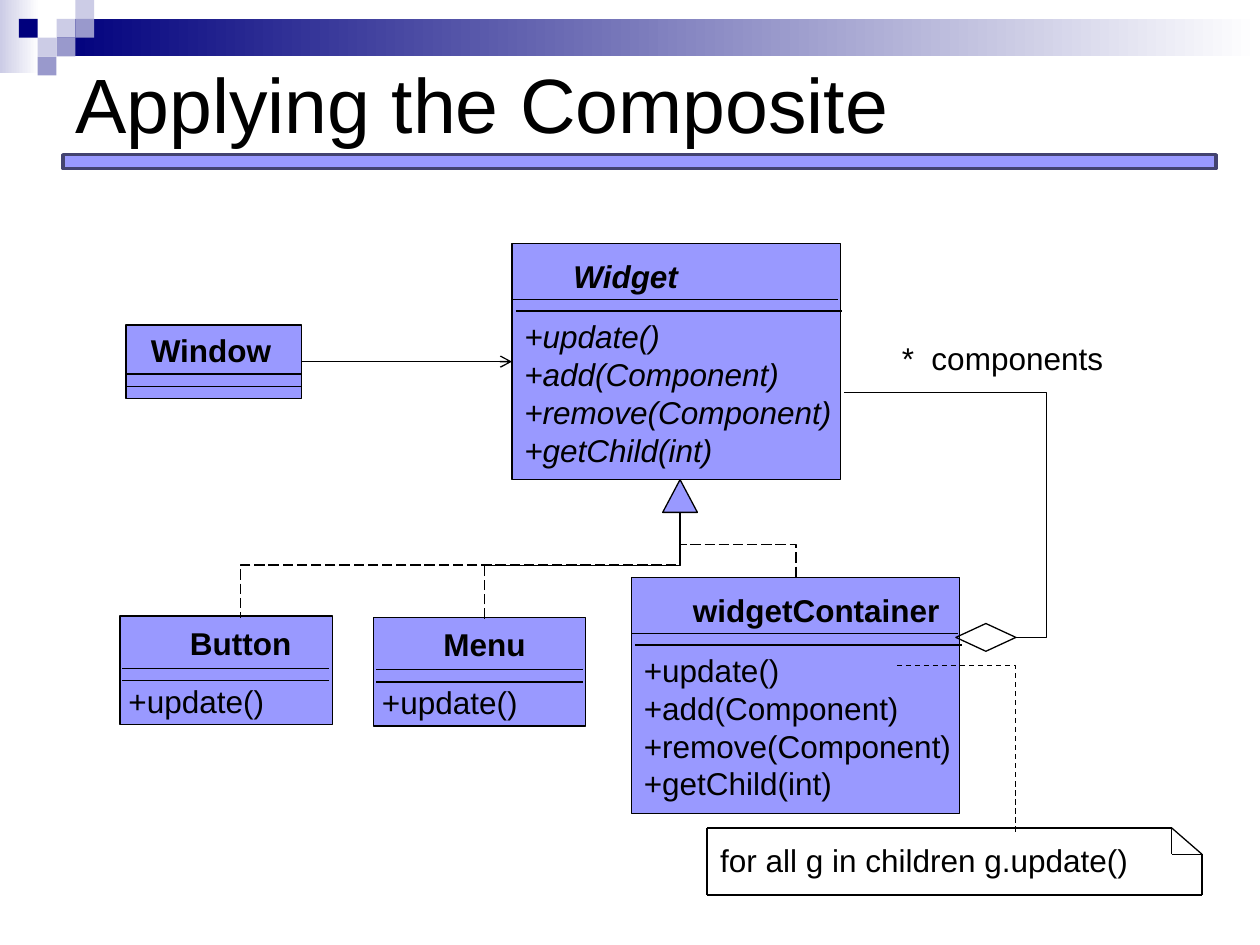
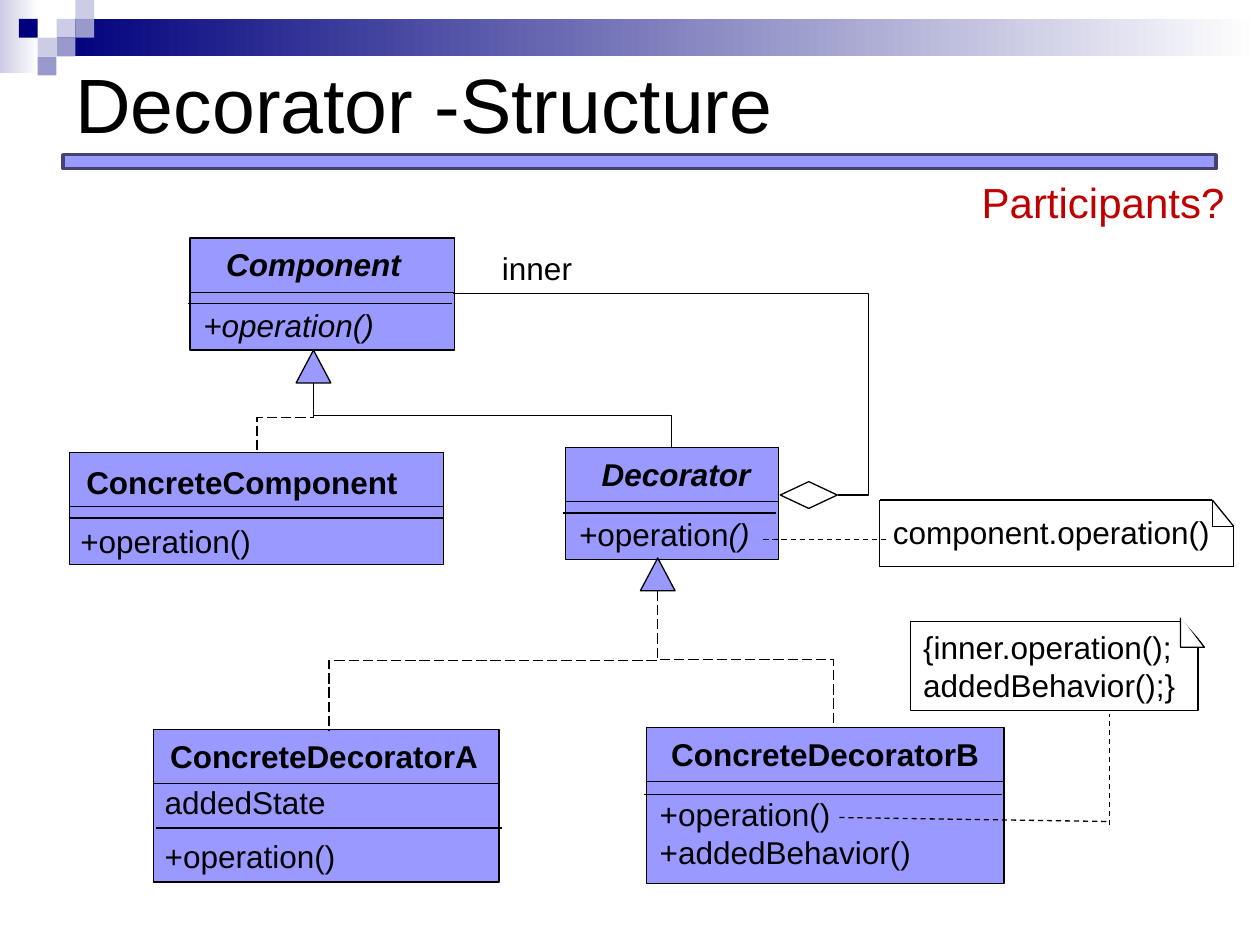
from lxml import etree
from pptx import Presentation
from pptx import util as u
from pptx.dml import color
from pptx.enum import dml, shapes, text
from pptx.oxml import ns

BLACK, WHITE, RED = "000000", "FFFFFF", "C00000"
LILAC, EDGE = "9999FF", "434370"
NAVY, PALE, MID = "00007D", "CCCCE6", "9999CC"
KIND = shapes.MSO_SHAPE
LINK = shapes.MSO_CONNECTOR
DASH, LONG = dml.MSO_LINE.DASH, dml.MSO_LINE.LONG_DASH
Cm = u.Cm


def rgb(code):
    return color.RGBColor.from_string(code)


def shape(sl, kind, x, y, w, h, fill=None, line=BLACK, size=0.75):
    """Add a preset shape; a pair of colours gives a gradient fill."""
    part = sl.shapes.add_shape(kind, Cm(x), Cm(y), Cm(w), Cm(h))
    part.shadow.inherit = False
    if isinstance(fill, tuple):
        part.fill.gradient()
        part.fill.gradient_angle = 0
        for stop, code in zip(part.fill.gradient_stops, fill):
            stop.color.rgb = rgb(code)
    elif fill:
        part.fill.solid()
        part.fill.fore_color.rgb = rgb(fill)
    else:
        part.fill.background()
    if line:
        part.line.color.rgb = rgb(line)
        part.line.width = u.Pt(size)
    else:
        part.line.fill.background()
    return part


def write(sl, lines, x, y, w, h=None, size=18, ink=BLACK, bold=False,
          ital=False, gap=0, mid=False):
    """Add text; a line is a string or a list of (string, italic) runs."""
    h = h or 0.25 + 0.76 * len(lines)
    box = sl.shapes.add_textbox(Cm(x), Cm(y), Cm(w), Cm(h))
    frame = box.text_frame
    frame.word_wrap = mid
    if mid:
        frame.vertical_anchor = text.MSO_ANCHOR.MIDDLE
    else:
        frame.auto_size = text.MSO_AUTO_SIZE.SHAPE_TO_FIT_TEXT
    for i, line in enumerate(lines):
        par = frame.add_paragraph() if i else frame.paragraphs[0]
        if i:
            par.space_before = u.Pt(gap)
        for words, slant in [(line, ital)] if isinstance(line, str) else line:
            run = par.add_run()
            run.text = words
            font = run.font
            font.name, font.size = "Arial", u.Pt(size)
            font.bold, font.italic = bold, slant
            font.color.rgb = rgb(ink)


def rule(sl, x1, y1, x2, y2, dash=None, arrow=False, kind=LINK.STRAIGHT):
    con = sl.shapes.add_connector(kind, Cm(x1), Cm(y1), Cm(x2), Cm(y2))
    con.line.color.rgb = rgb(BLACK)
    con.line.width = u.Pt(0.75)
    if dash:
        con.line.dash_style = dash
    props = con._element.spPr
    if arrow:
        etree.SubElement(props.find(ns.qn("a:ln")), ns.qn("a:tailEnd"),
                         type="arrow")
    etree.SubElement(props, ns.qn("a:effectLst"))
    return con


def bend(sl, start, end, share=0.5, dash=None, tall=True):
    """Elbow from start to end, leaving upright or sideways."""
    (x1, y1), (x2, y2) = start, end
    turn = 0
    if tall:
        # A quarter turn swaps the sides of the box round its centre
        turn = 90 if x2 < x1 and y2 > y1 else 270
        sign = 1 if turn == 270 else -1
        cx, cy = (x1 + x2) / 2, (y1 + y2) / 2
        dx, dy = sign * (y2 - y1) / 2, sign * (x1 - x2) / 2
        x1, y1, x2, y2 = cx + dx, cy + dy, cx - dx, cy - dy
    con = rule(sl, x1, y1, x2, y2, dash, kind=LINK.ELBOW)
    props = con._element.spPr
    props.find(ns.qn("a:xfrm")).set("rot", str(turn * 60000))
    etree.SubElement(props.find(".//" + ns.qn("a:avLst")), ns.qn("a:gd"),
                     name="adj1", fmla=f"val {round(share * 100000)}")


def frame(deck, title):
    """Start a slide with the corner mosaic, band, bar and title."""
    sl = deck.slides.add_slide(deck.slide_layouts[6])
    shape(sl, KIND.RECTANGLE, 0, 0, 0.79, 1.47, (PALE, WHITE), None)
    shape(sl, KIND.RECTANGLE, 1.14, 0.38, 24.26, 0.76, (NAVY, WHITE), None)
    unit = 0.38
    for col, row, fill in ((3, 1, PALE), (4, 0, PALE), (4, 1, MID), (2, 2, PALE),
                           (1, 1, NAVY), (3, 2, MID), (2, 3, MID)):
        shape(sl, KIND.RECTANGLE, col * unit, row * unit, unit, unit, fill, None)
    shape(sl, KIND.RECTANGLE, 1.27, 3.12, 23.24, 0.28, LILAC, EDGE, 2)
    write(sl, [title], 1.27, 0.16, 22.86, 3.81, size=44, mid=True)
    return sl


def klass(sl, box, name, head, ops=(), body=None, rules=((0, 1.09), (-0.05, 1.32)),
          span=None, slant=False, ital=False, gap=0):
    """Class box; head and body are (dx, dy, width), rules are (dx, dy)."""
    x, y, w, h = box
    rect = shape(sl, KIND.RECTANGLE, x, y, w, h, LILAC)
    for dx, dy in rules:
        rule(sl, x + dx, y + dy, x + dx + (span or w), y + dy)
    dx, dy, wide = head
    write(sl, [name], x + dx, y + dy, wide, bold=True, ital=slant)
    if ops:
        dx, dy, wide = body
        write(sl, ops, x + dx, y + dy, wide, ital=ital, gap=gap)
    return rect


def heirs(sl, x, y, kids):
    """Inheritance triangle with its tip at x, y and a link to each kid."""
    w, h = 0.7, 0.66
    shape(sl, KIND.ISOSCELES_TRIANGLE, x - w / 2, y, w, h, LILAC)
    for kid, dash in kids:
        bend(sl, (x, y + h), kid, dash=dash)


def note(sl, box, fold, words, wide):
    """Note outline with a folded corner."""
    x, y, w, h = box
    fx, fy, right, low = x + w - fold, y + 0.53, x + w, y + h
    for ends in ((x, y, fx, y), (x, y, x, low), (x, low, right, low),
                 (right, fy, right, low), (fx, y, fx, fy), (fx, fy, right, fy),
                 (fx, y, right, fy)):
        rule(sl, *ends)
    write(sl, [words], x + 0.02, y + 0.14, wide)


def composite(deck):
    sl = frame(deck, "Applying the Composite")
    # Classes
    ops = ["+update()", "+add(Component)", "+remove(Component)", "+getChild(int)"]
    window = klass(sl, (2.54, 6.55, 3.54, 1.48), "Window", (0.25, 0, 2.95),
                   rules=((0, 0.99), (0, 1.24)))
    big = dict(ops=ops, body=(0, 1.36, 6.7), rules=((0, 1.13), (0.08, 1.36)), span=6.58)
    widget = klass(sl, (10.32, 4.91, 6.62, 4.76), "Widget", (0.99, 0.14, 2.62),
                   slant=True, ital=True, **big)
    klass(sl, (12.73, 11.64, 6.62, 4.76), "widgetContainer", (0.99, 0.14, 5.49), **big)
    for x, y, name, wide in ((2.42, 12.42, "Button", 2.57), (7.53, 12.45, "Menu", 2.16)):
        klass(sl, (x, y, 4.28, 2.19), name, (1.16, 0.03, wide), ops[:1],
              (-0.08, 1.2, 3.25), ((0.05, 1.05), (0.05, 1.3)), 4.17)
    # Links
    use = rule(sl, 6.08, 7.29, 10.32, 7.29, arrow=True)
    use.begin_connect(window, 3)
    use.end_connect(widget, 1)
    tip = 13.71
    heirs(sl, tip, 9.67, (((16.05, 11.63), LONG), ((4.85, 12.45), LONG)))
    bend(sl, (9.77, 12.47), (tip, 10.33), dash=LONG)
    shape(sl, KIND.DIAMOND, 19.27, 12.57, 1.21, 0.56)
    bend(sl, (20.48, 12.86), (17.02, 7.92), -0.18, tall=False)
    write(sl, ["*  components"], 17.93, 6.71, 4.6)
    # Note
    note(sl, (14.25, 16.69, 9.98, 1.35), 0.61, "for all g in children g.update()", 8.74)
    bend(sl, (18.08, 13.41), (20.47, 16.81), 0, DASH)


def decorator(deck):
    sl = frame(deck, "Decorator -Structure")
    write(sl, ["Participants?"], 19.54, 3.43, 5.46, 1.27, size=24, ink=RED)
    # Classes
    op, body = "+operation()", (0.02, 1.24, 3.96)
    klass(sl, (3.83, 4.8, 5.33, 2.26), "Component", (0.48, 0.01, 4.57), [op], body,
          slant=True, ital=True)
    klass(sl, (1.4, 9.12, 7.54, 2.26), "ConcreteComponent", (0.09, 0.08, 7.2), [op],
          (-0.03, 1.27, 3.96), ((0, 1.09), (0, 1.32)))
    klass(sl, (11.4, 9.02, 4.29, 2.26), "Decorator", (0.48, 0.03, 4.57),
          [[("+", True), ("operation", False), ("()", True)]], body, slant=True)
    klass(sl, (3.1, 14.71, 6.96, 3.07), "ConcreteDecoratorA", (0.08, 0.03, 6.88),
          ["addedState", op], (-0.03, 0.95, 3.96), ((0, 1.09), (0.05, 1.98)), gap=9)
    klass(sl, (13.03, 14.66, 7.21, 3.15), "ConcreteDecoratorB", (0.25, 0.03, 7.04),
          [op, "+addedBehavior()"], (0.02, 1.24, 6.2), ((0, 1.09), (-0.05, 1.35)))
    # Links
    heirs(sl, 6.32, 7.06, (((13.54, 9.02), None), ((5.18, 9.12), LONG)))
    heirs(sl, 13.26, 11.25, (((6.63, 14.73), LONG), ((16.81, 14.68), LONG)))
    shape(sl, KIND.DIAMOND, 15.73, 9.71, 1.15, 0.54)
    bend(sl, (16.89, 9.98), (9.14, 5.92), -0.08, tall=False)
    write(sl, ["inner"], 9.87, 4.9, 1.93)
    # Note on the wrapped call
    note(sl, (17.73, 10.08, 7.14, 1.34), 0.43, "component.operation()", 6.91)
    rule(sl, 15.39, 10.87, 17.86, 10.87, DASH)
    # Note on the added behaviour, its corner masked in white
    x, y = 18.36, 12.53
    shape(sl, KIND.RECTANGLE, x, y, 5.79, 1.8)
    write(sl, ["{inner.operation();", "addedBehavior();}"], x, y, 5.8)
    shape(sl, KIND.RIGHT_TRIANGLE, x + 5.44, y - 0.12, 0.48, 0.64, WHITE)
    mask = shape(sl, KIND.RIGHT_TRIANGLE, x + 5.26, y - 0.3, 0.94, 1.07, WHITE, WHITE)
    mask.rotation = 180
    rule(sl, 16.92, 16.48, 22.33, 16.56, DASH)
    rule(sl, 22.37, 16.64, 22.37, 14.4, DASH)


def main():
    deck = Presentation()
    deck.slide_width, deck.slide_height = Cm(25.4), Cm(19.05)
    composite(deck)
    decorator(deck)
    deck.save("out.pptx")


if __name__ == "__main__":
    main()
